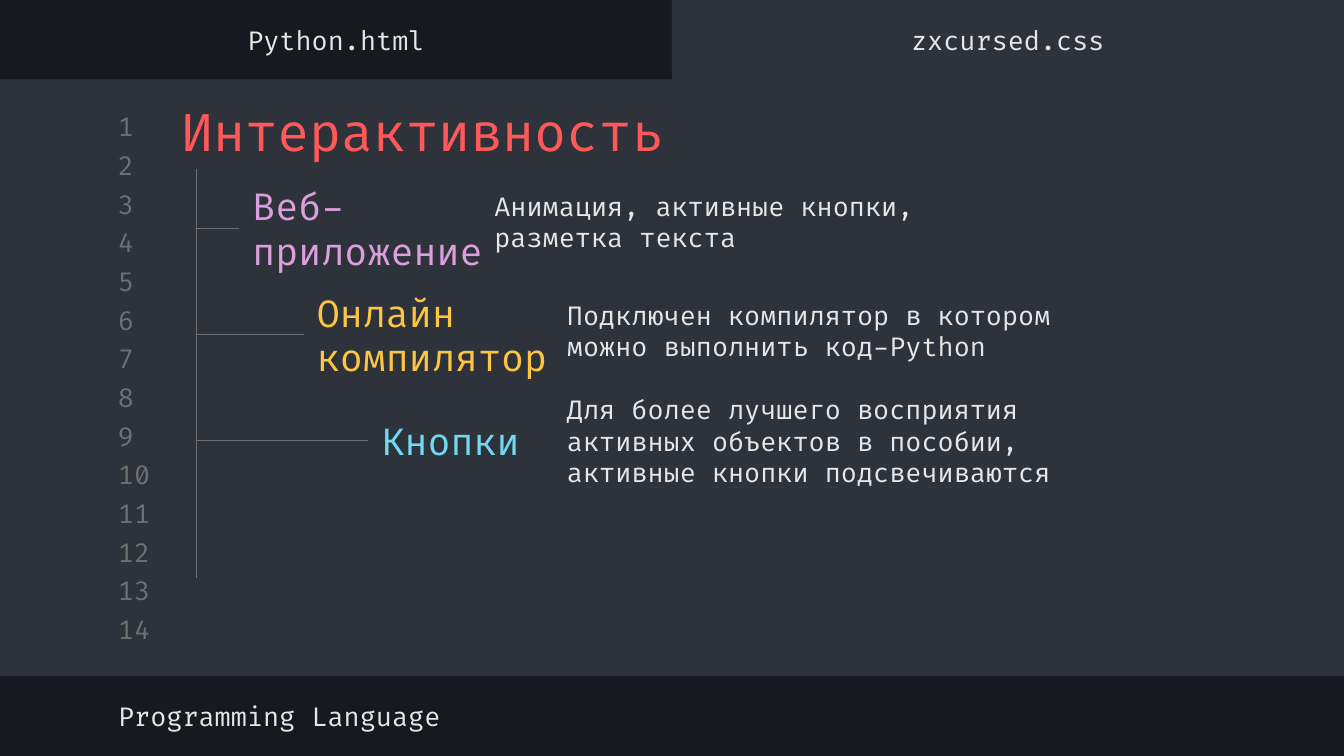
import pptx
import pptx.dml.color
import pptx.enum.shapes
import pptx.enum.text
import pptx.util
from lxml import etree
from pptx.oxml.ns import qn

Inches = pptx.util.Inches
RGBColor = pptx.dml.color.RGBColor
Align = pptx.enum.text.PP_ALIGN
Anchor = pptx.enum.text.MSO_ANCHOR

DARK = RGBColor(0x16, 0x19, 0x1F)
PANEL = RGBColor(0x2E, 0x32, 0x3B)
GREY = RGBColor(0x70, 0x70, 0x70)
LIGHT = RGBColor(0xE7, 0xE7, 0xE7)
RED = RGBColor(0xFF, 0x58, 0x58)
PINK = RGBColor(0xDB, 0xA0, 0xDB)
GOLD = RGBColor(0xFC, 0xC6, 0x42)
CYAN = RGBColor(0x72, 0xD9, 0xF0)

TOPICS = [
    ("Веб-приложение", PINK, 2.19, 3.58, 1.33,
     "Анимация, активные кнопки, разметка текста"),
    ("Онлайн компилятор", GOLD, 2.19, 4.12, 2.14,
     "Подключен компилятор в котором можно выполнить код-Python"),
    ("Кнопки", CYAN, 1.42, 4.12, 2.96,
     "Для более лучшего восприятия активных объектов в пособии, "
     "активные кнопки подсвечиваются"),
]


class Page:
    """Draw styled elements on one slide."""

    font = "Fira Code"

    def __init__(self, slide):
        self.slide = slide
        fill = slide.background.fill
        fill.solid()
        fill.fore_color.rgb = DARK

    def panel(self, x, y, w, h):
        kind = pptx.enum.shapes.MSO_SHAPE.RECTANGLE
        rect = self.slide.shapes.add_shape(
            kind, Inches(x), Inches(y), Inches(w), Inches(h))
        rect.shadow.inherit = False
        rect.fill.solid()
        rect.fill.fore_color.rgb = PANEL
        rect.line.fill.background()

    def text(self, words, x, y, w, h, size=14, color=LIGHT,
             align=Align.LEFT, anchor=Anchor.MIDDLE):
        box = self.slide.shapes.add_textbox(
            Inches(x), Inches(y), Inches(w), Inches(h))
        frame = box.text_frame
        frame.word_wrap = True
        frame.vertical_anchor = anchor
        frame.margin_left = frame.margin_right = Inches(0.1)
        frame.margin_top = frame.margin_bottom = Inches(0.1)
        frame.text = words
        para = frame.paragraphs[0]
        para.alignment = align
        font = para.runs[0].font
        font.name = self.font
        font.size = pptx.util.Pt(size)
        font.color.rgb = color
        return box

    def line(self, x, y, right, low, box=None):
        kind = pptx.enum.shapes.MSO_CONNECTOR.STRAIGHT
        line = self.slide.shapes.add_connector(
            kind, Inches(x), Inches(y), Inches(right), Inches(low))
        line.line.color.rgb = GREY
        line.line.width = pptx.util.Pt(0.75)
        etree.SubElement(line._element.spPr, qn("a:effectLst"))
        if box is not None:
            line.end_connect(box, 1)


def main():
    deck = pptx.Presentation()
    deck.slide_width = Inches(10)
    deck.slide_height = deck.slide_width * 9 // 16
    page = Page(deck.slides.add_slide(deck.slide_layouts[6]))

    page.panel(0, 0.59, 10, 4.44)
    page.panel(5, 0, 5, 0.65)
    first, last, count = 0.82, 4.56, 14
    step = (last - first) / (count - 1)
    for row in range(count):
        page.text(str(row + 1), 0.78, first + row * step, 0.47, 0.24,
                  color=GREY)

    page.text("Интерактивность", 1.25, 0.64, 7.97, 0.59, 28, RED,
              anchor=Anchor.TOP)
    page.text("Programming Language", 0.78, 5.13, 5.32, 0.39)
    for col, name in enumerate(["Python.html", "zxcursed.css"]):
        page.text(name, col * 5, 0.1, 5, 0.39, align=Align.CENTER)

    trunk = 1.46
    page.line(trunk, 1.26, trunk, 4.3)
    for row, (name, color, wide, left, top, note) in enumerate(TOPICS):
        x, y = 1.78 + row * 0.48, 1.38 + row * 0.79
        box = page.text(name, x, y, wide, 0.64, 20, color)
        page.text(note, left, top, 4.35, 0.64)
        page.line(trunk, y + 0.32, x, y + 0.32, box)

    deck.save("out.pptx")


if __name__ == "__main__":
    main()
